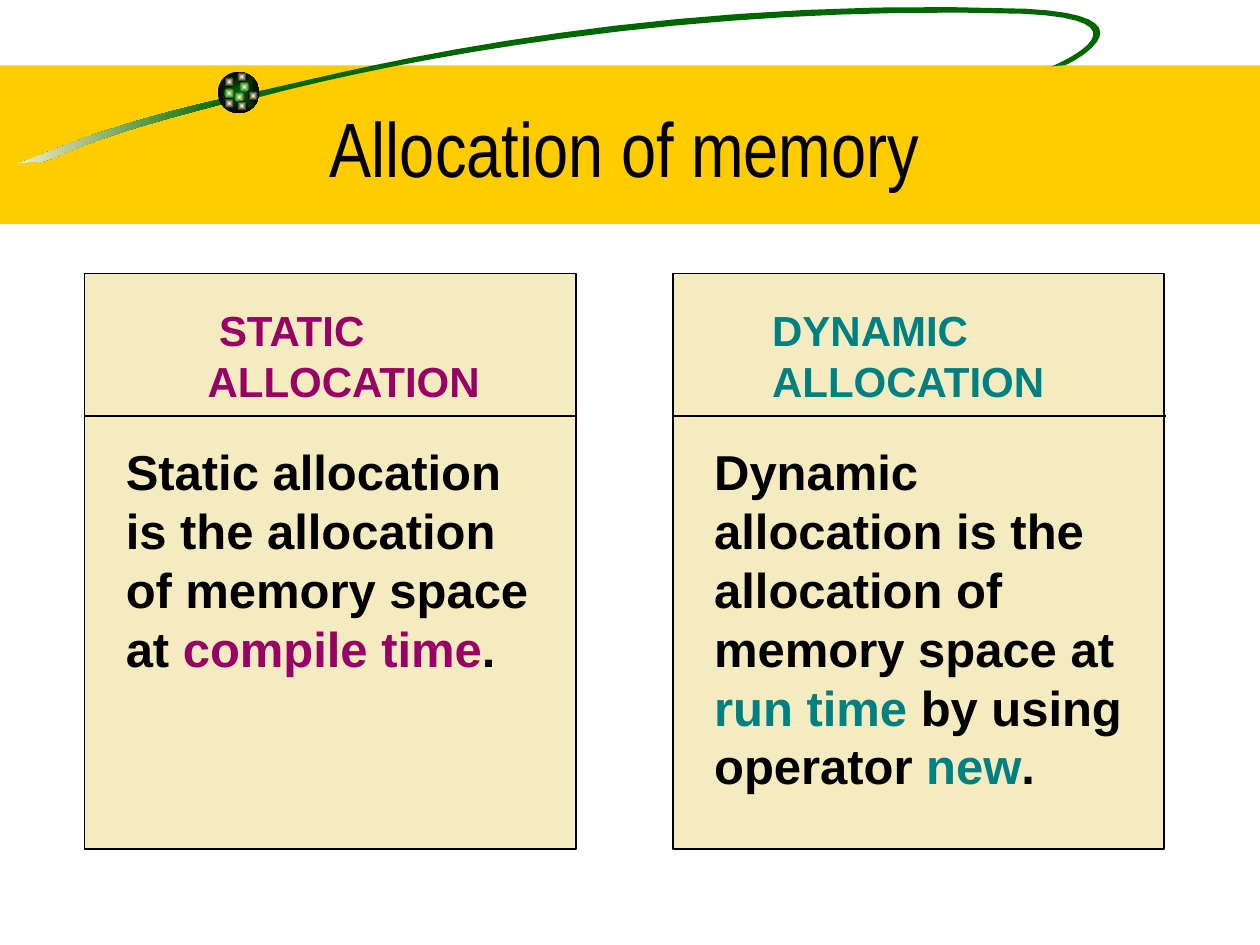
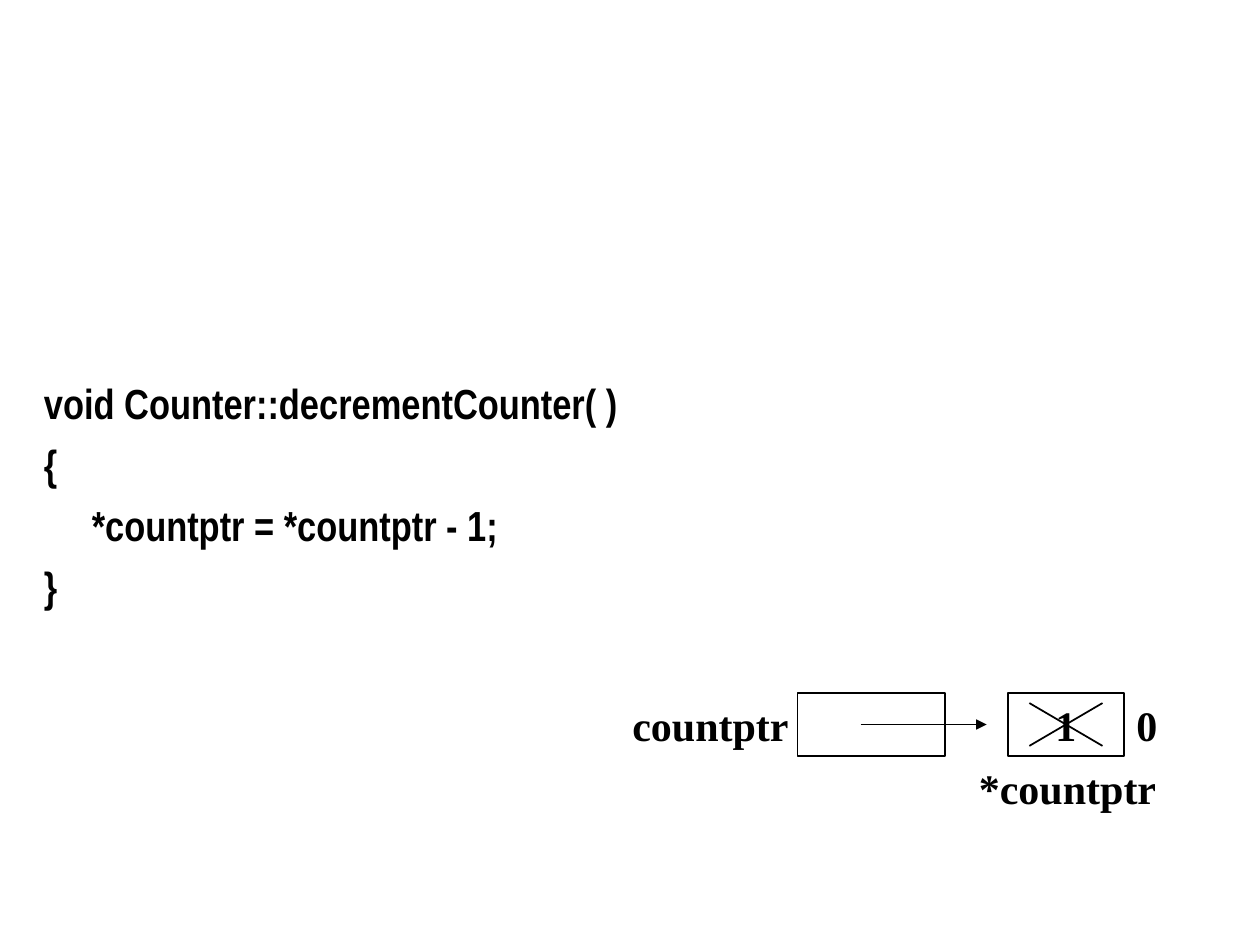
from lxml import etree
from pptx import Presentation
from pptx.dml.color import RGBColor
from pptx.enum import shapes, text
from pptx.oxml import ns
from pptx.util import Inches, Pt

BLACK = RGBColor(0x00, 0x00, 0x00)
WHITE = RGBColor(0xFF, 0xFF, 0xFF)
GOLD = RGBColor(0xFF, 0xCC, 0x00)
GREEN = RGBColor(0x00, 0x66, 0x00)
CREAM = RGBColor(0xF5, 0xEB, 0xC1)
PALE = RGBColor(0xFF, 0xFF, 0xCC)
PLUM = RGBColor(0x99, 0x00, 0x66)
TEAL = RGBColor(0x00, 0x80, 0x80)

SANS, NARROW, SERIF = "Arial", "Arial Narrow", "Times New Roman"
TITLE_ONLY, BLANK = 5, 6

# Each curve is a start point, then Bezier segments of two controls and an end.
TAIL_CURVE = [(1.78, 0.78),
              [(0.91, 0.98), (0.49, 1.16), (0.25, 1.26)],
              [(0.01, 1.34), (0.26, 1.26), (0.31, 1.29)],
              [(0.57, 1.22), (0.57, 1.13), (1.79, 0.82)]]
LOOP_CURVE = [(2.02, 0.73),
              [(2.46, 0.65), (4.86, -0.05), (8.14, 0.07)],
              [(9.17, 0.12), (8.57, 0.47), (8.45, 0.52)],
              [(8.45, 0.52), (8.38, 0.52), (8.34, 0.53)],
              [(8.44, 0.49), (9.16, 0.16), (8.13, 0.11)],
              [(5.48, 0.03), (3.2, 0.47), (2.06, 0.77)]]
# Left, top and rim colour of the sparkles on the ball.
SPARKLES = [(1.9, 0.65, GREEN), (1.78, 0.61, BLACK), (1.78, 0.7, GREEN),
            (1.86, 0.73, GREEN), (1.97, 0.72, BLACK), (1.88, 0.8, BLACK),
            (1.78, 0.78, BLACK), (1.88, 0.57, BLACK)]


def add_preset(slide, kind, x, y, w, h, fill=None, line=None):
    sp = slide.shapes.add_shape(kind, *map(Inches, (x, y, w, h)))
    sp.shadow.inherit = False
    if fill is not None:
        sp.fill.solid()
        sp.fill.fore_color.rgb = fill
    if line is None:
        sp.line.fill.background()
    else:
        sp.line.color.rgb = line
        sp.line.width = Pt(1)
    return sp


def add_box(slide, x, y, w, h, fill, line=None):
    return add_preset(slide, shapes.MSO_SHAPE.RECTANGLE, x, y, w, h, fill, line)


def set_gradient(sp, start, end):
    sp.fill.gradient()
    for stop, color in zip(sp.fill.gradient_stops, (start, end)):
        stop.color.rgb = color
    sp.fill.gradient_angle = 180


def add_glow_ball(slide, x, y, size, center, rim):
    """Draw a circle whose gradient runs from its center to its rim."""
    sp = add_preset(slide, shapes.MSO_SHAPE.OVAL, x, y, size, size)
    set_gradient(sp, center, rim)
    lin = sp._element.find(".//" + ns.qn("a:lin"))
    glow = etree.Element(ns.qn("a:path"), path="rect")
    sides = dict.fromkeys("ltrb", "50000")
    etree.SubElement(glow, ns.qn("a:fillToRect"), **sides)
    lin.getparent().replace(lin, glow)


def bezier_points(start, segments, steps=16):
    for c1, c2, end in segments:
        for i in range(1, steps + 1):
            t = i / steps
            weights = ((1 - t) ** 3, 3 * t * (1 - t) ** 2,
                       3 * t * t * (1 - t), t ** 3)
            yield tuple(sum(k * p[axis] for k, p in
                            zip(weights, (start, c1, c2, end)))
                        for axis in (0, 1))
        start = end


def add_ribbon(slide, curve):
    start, *segments = curve
    builder = slide.shapes.build_freeform(*map(Inches, start))
    builder.add_line_segments([(Inches(x), Inches(y)) for x, y in
                               bezier_points(start, segments)])
    sp = builder.convert_to_shape()
    sp.shadow.inherit = False
    sp.line.fill.background()
    return sp


def add_line(slide, x1, y1, x2, y2, arrow=False):
    line = slide.shapes.add_connector(
        shapes.MSO_CONNECTOR.STRAIGHT, *map(Inches, (x1, y1, x2, y2)))
    line.line.color.rgb = BLACK
    line.line.width = Pt(1)
    if arrow:
        etree.SubElement(line.line._get_or_add_ln(), ns.qn("a:tailEnd"),
                         type="triangle")
    etree.SubElement(line._element.spPr, ns.qn("a:effectLst"))


def add_run(p, words, font, size, color=BLACK, bold=True):
    r = p.add_run()
    r.text = words
    r.font.name, r.font.size, r.font.bold = font, Pt(size), bold
    r.font.color.rgb = color


def add_paragraph(tf, runs, font, size, indent=0, before=0):
    """Add (words, colour) runs, filling the first paragraph if still empty."""
    first = tf.paragraphs[0]
    p = tf.add_paragraph() if first.runs else first
    if indent:
        p._p.get_or_add_pPr().set("marL", str(Inches(indent)))
    if before:
        p.space_before = Pt(before)
    for words, color in runs:
        add_run(p, words, font, size, color)


def add_text_frame(slide, x, y, w, h, wrap=True):
    tf = slide.shapes.add_textbox(*map(Inches, (x, y, w, h))).text_frame
    tf.word_wrap = wrap
    return tf


def add_label(slide, words, x, y, w):
    tf = add_text_frame(slide, x, y, w, 0.5, wrap=False)
    add_paragraph(tf, [(words, BLACK)], SERIF, 24)


def add_title_band(slide, words):
    add_box(slide, 0, 0.52, 10, 1.26, GOLD)
    set_gradient(add_ribbon(slide, TAIL_CURVE), GREEN, CREAM)
    loop = add_ribbon(slide, LOOP_CURVE)
    loop.fill.solid()
    loop.fill.fore_color.rgb = GREEN
    add_glow_ball(slide, 1.73, 0.57, 0.33, GREEN, BLACK)
    for x, y, rim in SPARKLES:
        add_glow_ball(slide, x, y, 0.08, PALE, rim)

    title = slide.shapes.title
    title.left, title.top, title.width, title.height = map(
        Inches, (0.67, 0.33, 8.58, 1.25))
    tf = title.text_frame
    tf.vertical_anchor = text.MSO_ANCHOR.BOTTOM
    p = tf.paragraphs[0]
    p.alignment = text.PP_ALIGN.CENTER
    add_run(p, words, NARROW, 44, bold=False)
    slide.shapes._spTree.append(title._element)  # in front of the band


def add_panel(slide, x, heading, color, definition):
    """Draw a card: heading holds (words, indent) lines above a rule."""
    add_box(slide, x, 2.17, 3.9, 4.57, CREAM, BLACK)
    tf = add_text_frame(slide, x + 0.23, 2.37, 3.6, 4.3)
    for words, indent in heading:
        add_paragraph(tf, [(words, color)], SANS, 24, indent)
    add_paragraph(tf, definition, SANS, 28, before=20.7)
    add_line(slide, x, 3.3, x + 3.91, 3.3)


def build_allocation_slide(prs):
    slide = prs.slides.add_slide(prs.slide_layouts[TITLE_ONLY])
    add_title_band(slide, "Allocation of memory")
    add_panel(slide, 0.67, [("STATIC", 0.74), ("ALLOCATION", 0.65)], PLUM, [
        ("Static allocation is the allocation of memory space at ", BLACK),
        ("compile time", PLUM), (".", BLACK)])
    add_panel(slide, 5.34, [("DYNAMIC", 0.46), ("ALLOCATION", 0.46)], TEAL, [
        ("Dynamic allocation is the allocation of memory space at ", BLACK),
        ("run time", TEAL), (" by using operator ", BLACK),
        ("new", TEAL), (".", BLACK)])


def build_decrement_slide(prs):
    slide = prs.slides.add_slide(prs.slide_layouts[BLANK])
    code = add_text_frame(slide, 0.25, 1.67, 9.49, 4.5)
    code.vertical_anchor = text.MSO_ANCHOR.MIDDLE
    code_lines = [("void Counter::decrementCounter( )", 0), ("{", 0),
                  ("*countptr = *countptr - 1;", 0.38), ("}", 0)]
    for i, (words, indent) in enumerate(code_lines):
        add_paragraph(code, [(words, BLACK)], NARROW, 24, indent,
                      before=6 if i else 0)

    value = add_box(slide, 8, 5.5, 0.92, 0.5, WHITE, BLACK).text_frame
    value.word_wrap = False
    value.vertical_anchor = text.MSO_ANCHOR.MIDDLE
    value.paragraphs[0].alignment = text.PP_ALIGN.CENTER
    add_paragraph(value, [("1", BLACK)], SERIF, 24)

    add_box(slide, 6.33, 5.5, 1.17, 0.5, WHITE, BLACK)
    add_label(slide, "countptr", 4.92, 5.5, 1.78)
    add_line(slide, 6.83, 5.75, 7.83, 5.75, arrow=True)
    add_label(slide, "*countptr", 7.67, 6, 1.61)
    add_label(slide, "0", 8.92, 5.5, 0.36)
    for x1, x2 in ((8.17, 8.75), (8.75, 8.17)):
        add_line(slide, x1, 5.58, x2, 5.92)


def main():
    prs = Presentation()
    prs.slide_width, prs.slide_height = Inches(10), Inches(7.5)
    build_allocation_slide(prs)
    build_decrement_slide(prs)
    prs.save("out.pptx")


if __name__ == "__main__":
    main()
